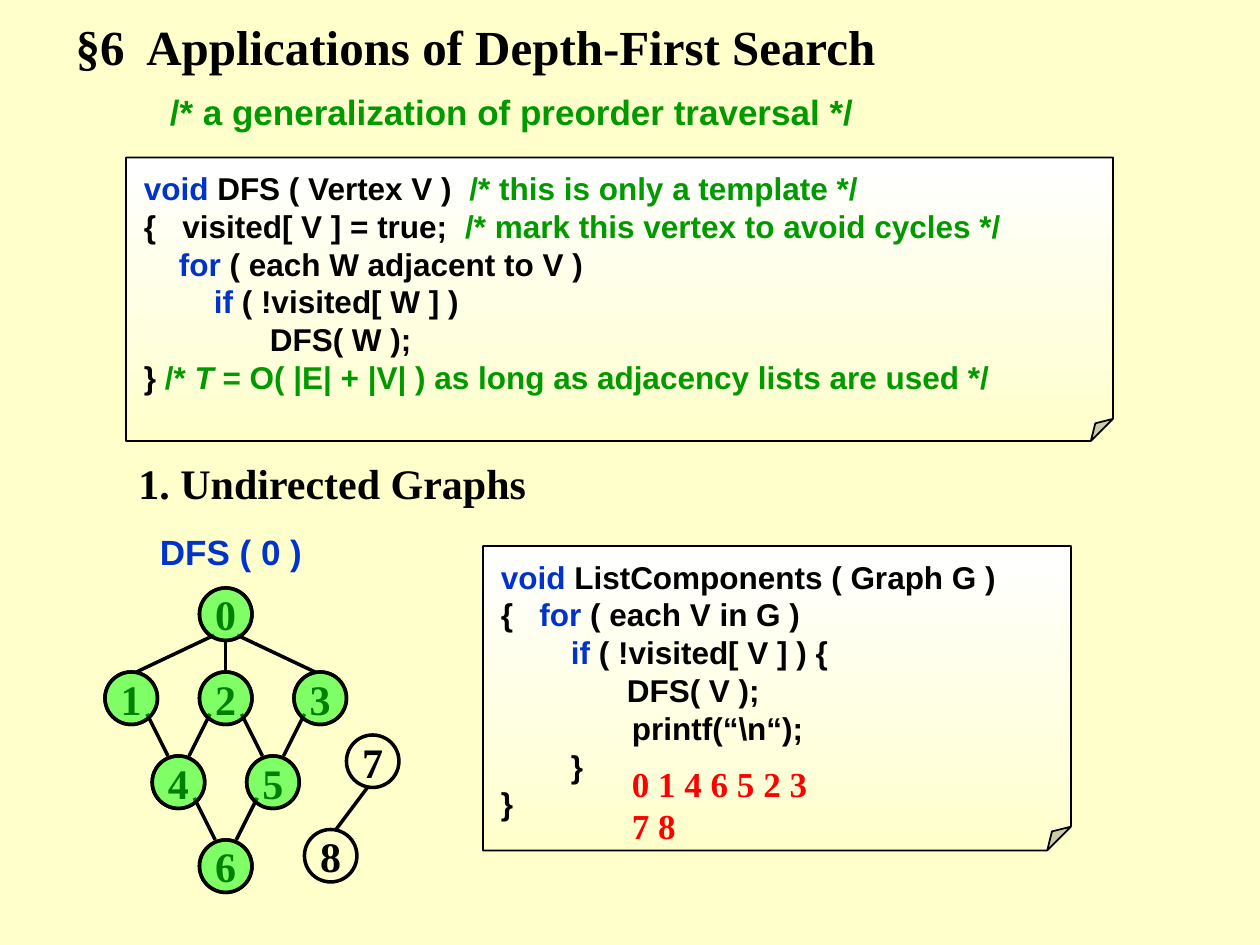
from dataclasses import dataclass

import pptx
import pptx.dml.color
import pptx.enum.shapes
import pptx.enum.text
import pptx.oxml.ns
import pptx.util
from lxml import etree

PX = 7620  # EMU in one px, at 120 px to the inch
NODE_SIZE = 50
RADIUS = NODE_SIZE // 2
SERIF, SANS = "Times New Roman", "Arial"
COLORS = {
    "paper": "FFFFCC", "white": "FFFFFF", "text": "000000",
    "keyword": "0033CC", "comment": "009900", "visited": "00FF00", "output": "FF0000",
}
SHAPE = pptx.enum.shapes.MSO_SHAPE
ALIGN = pptx.enum.text.PP_ALIGN
ANCHOR = pptx.enum.text.MSO_ANCHOR
qn = pptx.oxml.ns.qn


@dataclass(frozen=True)
class Box:
    left: int
    top: int
    width: int
    height: int

    def emu(self) -> tuple[int, ...]:
        return tuple(v * PX for v in (self.left, self.top, self.width, self.height))


@dataclass(frozen=True)
class Span:
    text: str
    color: str = "text"
    italic: bool = False


@dataclass(frozen=True)
class Style:
    font: str
    size: int
    color: str = "text"
    align: ALIGN = ALIGN.LEFT


@dataclass(frozen=True)
class Edge:
    """Line between two nodes; the offsets are measured from the node centres."""
    parent: int
    child: int
    start_dx: int
    start_dy: int
    end_dx: int


def keyword(text: str) -> Span:
    return Span(text, "keyword")


def comment(text: str) -> Span:
    return Span(text, "comment")


DFS_CODE = [
    [keyword("void"), Span(" DFS ( Vertex V )  "), comment("/* this is only a template */")],
    [Span("{   visited[ V ] = true;  "), comment("/* mark this vertex to avoid cycles */")],
    [Span("    "), keyword("for"), Span(" ( each W adjacent to V )")],
    [Span("        "), keyword("if"), Span(" ( !visited[ W ] )")],
    [Span("\tDFS( W );")],
    [Span("} "), comment("/* "), Span("T", "comment", True),
     comment(" = O( |E| + |V| ) as long as adjacency lists are used */")],
]
LIST_COMPONENTS_CODE = [
    [keyword("void"), Span(" ListComponents ( Graph G )")],
    [Span("{   "), keyword("for"), Span(" ( each V in G )")],
    [Span("        "), keyword("if"), Span(" ( !visited[ V ] ) {")],
    [Span("\tDFS( V );")],
    [Span("               printf(“\\n“);")],
    [Span("        }")],
    [Span("}")],
]
CONNECTED_NODES = {0: (190, 560), 1: (100, 640), 2: (190, 640), 3: (280, 640),
                   4: (145, 720), 5: (235, 720), 6: (190, 800)}
SECOND_NODES = {7: (330, 700), 8: (290, 790)}
CONNECTED_EDGES = [Edge(0, 1, -11, 20, 5), Edge(0, 2, 0, RADIUS, 0), Edge(0, 3, 11, 20, -5)]
CONNECTED_EDGES += [Edge(a, b, 15, 15, -10) for a, b in ((1, 4), (2, 5), (4, 6))]
CONNECTED_EDGES += [Edge(a, b, -15, 15, 10) for a, b in ((2, 4), (3, 5), (5, 6))]
SECOND_EDGES = [Edge(7, 8, -5, RADIUS, 5)]


def rgb(name: str) -> pptx.dml.color.RGBColor:
    return pptx.dml.color.RGBColor.from_string(COLORS[name])


def style_paragraph(paragraph, style: Style) -> None:
    paragraph.alignment = style.align
    paragraph.space_before = pptx.util.Pt(0)
    font = paragraph.font
    font.name, font.size, font.bold = style.font, pptx.util.Pt(style.size), True
    font.color.rgb = rgb(style.color)


def write_lines(frame, lines: list[str], style: Style) -> None:
    frame.text = "\n".join(lines)
    for paragraph in frame.paragraphs:
        style_paragraph(paragraph, style)


def add_label(shapes, box: Box, lines: list[str], style: Style, wrap: bool = True):
    frame = shapes.add_textbox(*box.emu()).text_frame
    frame.word_wrap = wrap
    write_lines(frame, lines, style)
    return frame


def outline(shape, width: int) -> None:
    shape.shadow.inherit = False
    shape.line.color.rgb = rgb("text")
    shape.line.width = pptx.util.Pt(width)


def add_code(shapes, box: Box, code: list[list[Span]]) -> None:
    note = shapes.add_shape(SHAPE.FOLDED_CORNER, *box.emu())
    fold = note._element.spPr.find(qn("a:prstGeom")).find(qn("a:avLst"))
    etree.SubElement(fold, qn("a:gd"), name="adj", fmla="val 7800")
    outline(note, 1)
    note.fill.gradient()
    note.fill.gradient_angle = 270
    for stop, color in zip(note.fill.gradient_stops, ("white", "paper")):
        stop.color.rgb = rgb(color)
    frame = note.text_frame
    frame.word_wrap = True
    frame.vertical_anchor = ANCHOR.TOP
    frame.margin_left, frame.margin_top = 17 * PX, 11 * PX
    for row, spans in enumerate(code):
        paragraph = frame.add_paragraph() if row else frame.paragraphs[0]
        paragraph.space_before = pptx.util.Pt(0)
        tabs = etree.SubElement(paragraph._p.get_or_add_pPr(), qn("a:tabLst"))
        etree.SubElement(tabs, qn("a:tab"), pos=str(120 * PX), algn="l")
        style_paragraph(paragraph, Style(SANS, 18))
        for span in spans:
            run = paragraph.add_run()
            run.text = span.text
            run.font.color.rgb = rgb(span.color)
            if span.italic:
                run.font.italic = True


def add_circle(shapes, corner: tuple[int, int]):
    circle = shapes.add_shape(SHAPE.OVAL, *Box(*corner, NODE_SIZE, NODE_SIZE).emu())
    outline(circle, 2)
    return circle


def add_graph(shapes, nodes: dict[int, tuple[int, int]], edges: list[Edge]) -> None:
    graph = shapes.add_group_shape().shapes
    for number, corner in nodes.items():
        circle = add_circle(graph, corner)
        circle.fill.background()
        frame = circle.text_frame
        frame.word_wrap = False
        frame.vertical_anchor = ANCHOR.MIDDLE
        write_lines(frame, [str(number)], Style(SERIF, 24, align=ALIGN.CENTER))
    for edge in edges:
        (x1, y1), (x2, y2) = nodes[edge.parent], nodes[edge.child]
        ends = (x1 + RADIUS + edge.start_dx, y1 + RADIUS + edge.start_dy,
                x2 + RADIUS + edge.end_dx, y2)
        line = graph.add_connector(pptx.enum.shapes.MSO_CONNECTOR.STRAIGHT,
                                   *(v * PX for v in ends))
        line.line.color.rgb = rgb("text")
        line.line.width = pptx.util.Pt(2)
        etree.SubElement(line._element.spPr, qn("a:effectLst"))


def mark_visited(shapes, corner: tuple[int, int]) -> None:
    """Lay a half-transparent disc over a node."""
    disc = add_circle(shapes, corner)
    disc.fill.solid()
    disc.fill.fore_color.rgb = rgb("visited")
    color = disc._element.spPr.find(qn("a:solidFill")).find(qn("a:srgbClr"))
    etree.SubElement(color, qn("a:alpha"), val="50000")


def main() -> None:
    deck = pptx.Presentation()
    deck.slide_width, deck.slide_height = 1200 * PX, 900 * PX
    slide = deck.slides.add_slide(deck.slide_layouts[5])
    slide.background.fill.solid()
    slide.background.fill.fore_color.rgb = rgb("paper")
    shapes = slide.shapes

    title = shapes.title
    title.left, title.top, title.width, title.height = Box(60, 10, 980, 68).emu()
    title.text_frame.vertical_anchor = ANCHOR.TOP
    write_lines(title.text_frame, ["§6  Applications of Depth-First Search"], Style(SERIF, 28))

    add_label(shapes, Box(150, 80, 730, 53), ["/* a generalization of preorder traversal */"],
              Style(SANS, 20, "comment"))
    add_code(shapes, Box(120, 150, 940, 270), DFS_CODE)
    add_graph(shapes, CONNECTED_NODES, CONNECTED_EDGES)
    for corner in CONNECTED_NODES.values():
        mark_visited(shapes, corner)
    call = add_label(shapes, Box(140, 500, 160, 50), ["DFS ( 0 )"],
                     Style(SANS, 20, "keyword", ALIGN.CENTER), wrap=False)
    call.vertical_anchor = ANCHOR.MIDDLE
    add_label(shapes, Box(120, 430, 440, 60), ["1. Undirected Graphs"], Style(SERIF, 24))
    add_code(shapes, Box(460, 520, 560, 290), LIST_COMPONENTS_CODE)
    add_graph(shapes, SECOND_NODES, SECOND_EDGES)
    add_label(shapes, Box(590, 720, 220, 92), ["0 1 4 6 5 2 3", "7 8"],
              Style(SERIF, 20, "output"))
    deck.save("out.pptx")


if __name__ == "__main__":
    main()
